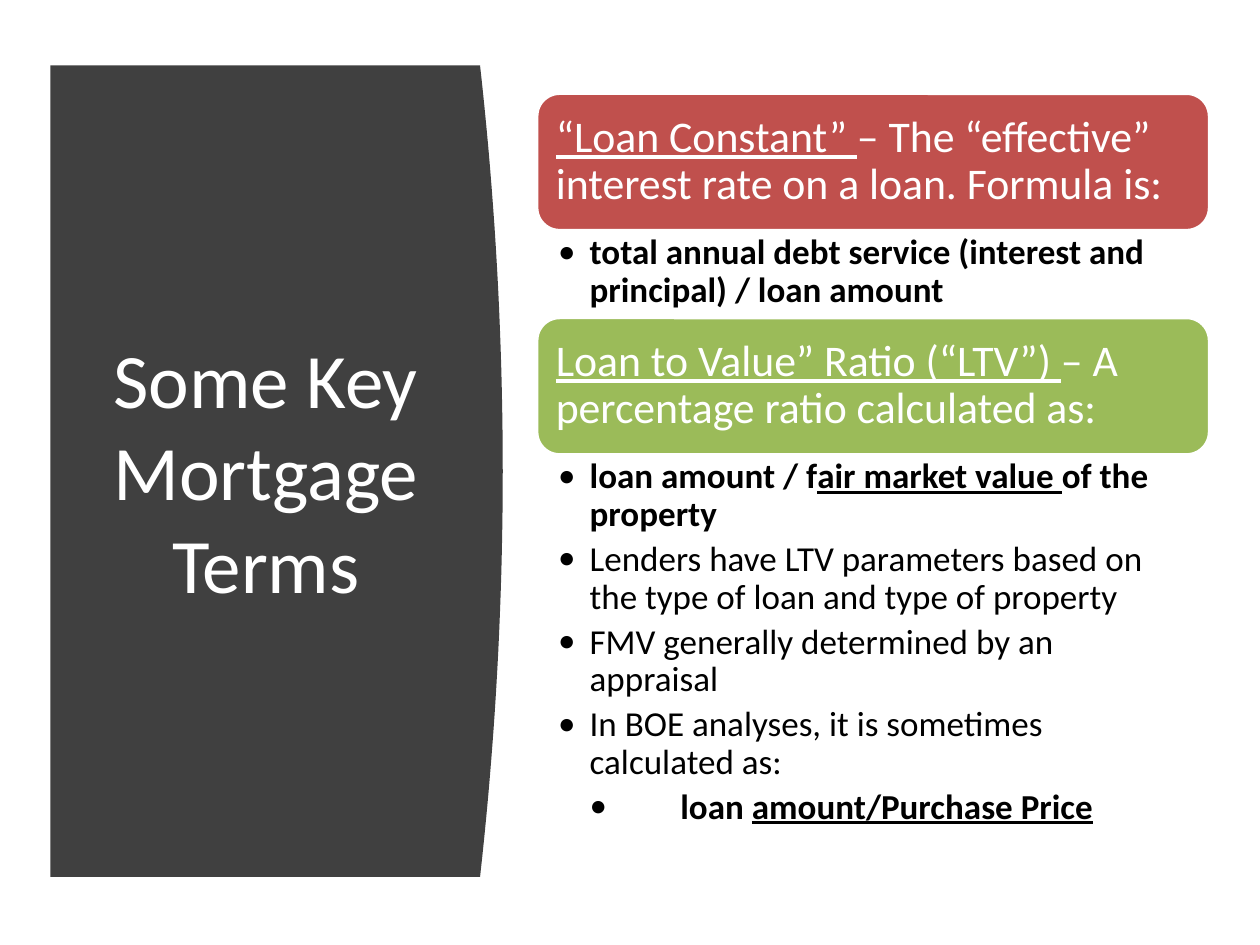
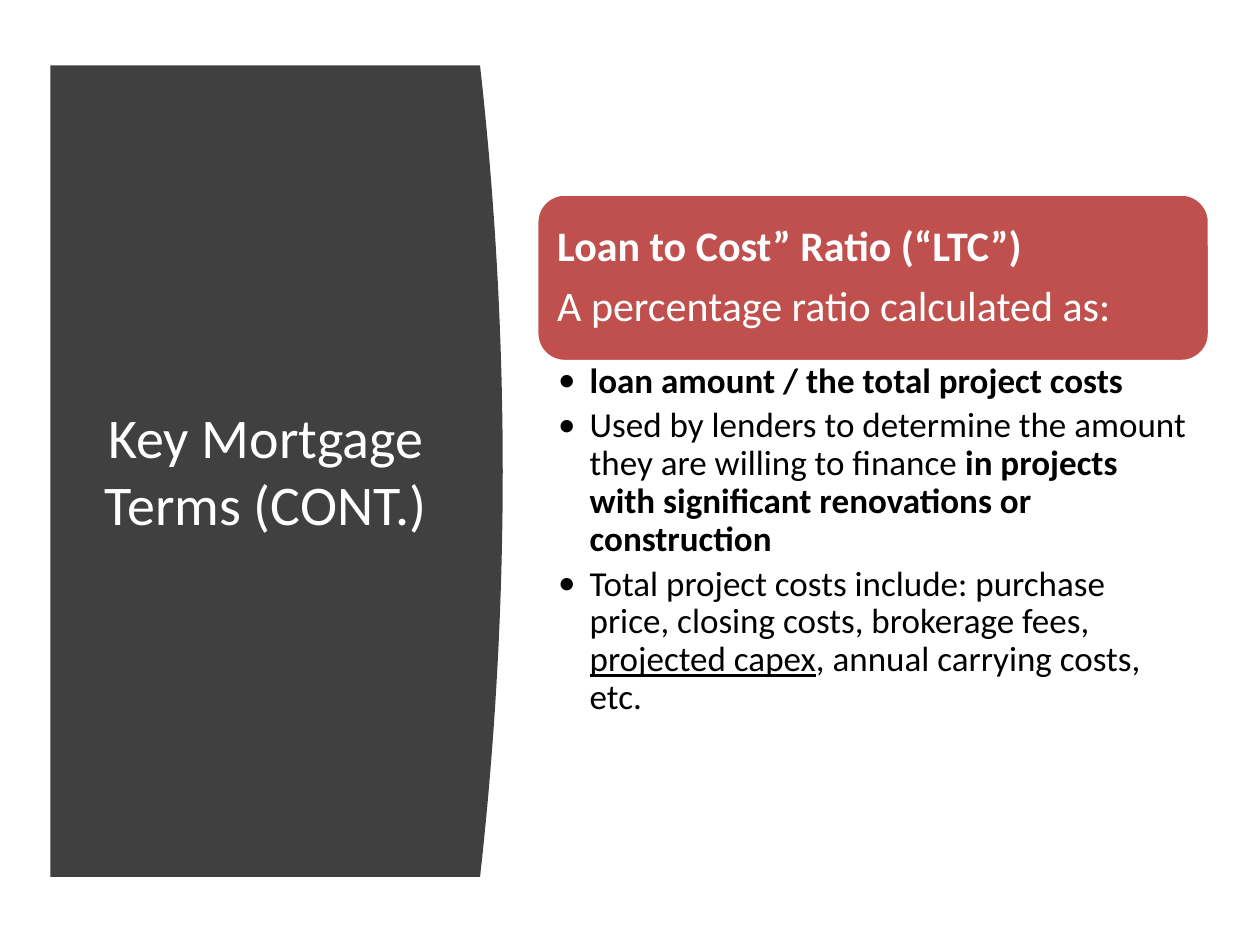
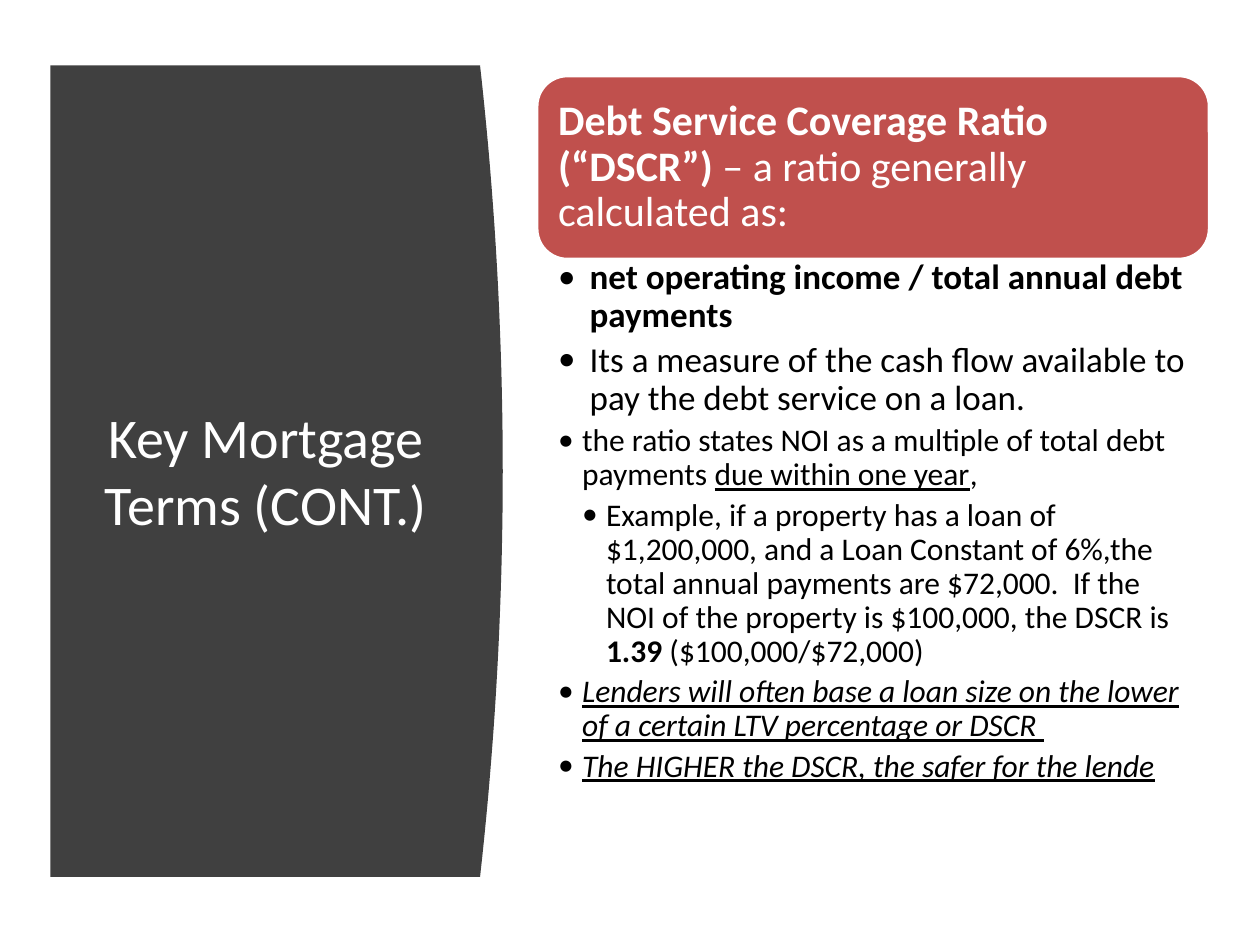
from dataclasses import dataclass

from lxml.etree import SubElement
from pptx import Presentation
from pptx.dml.color import RGBColor
from pptx.enum.shapes import MSO_SHAPE as Preset
from pptx.enum.text import MSO_ANCHOR as Anchor, MSO_AUTO_SIZE as AutoSize, PP_ALIGN as Align
from pptx.oxml.ns import qn
from pptx.util import Inches, Pt

# Shared look
WHITE = RGBColor(0xFF, 0xFF, 0xFF)
BLACK = RGBColor(0x00, 0x00, 0x00)
CHARCOAL = RGBColor(0x40, 0x40, 0x40)
RED = RGBColor(0xC0, 0x50, 0x4D)
GREEN = RGBColor(0x9B, 0xBB, 0x59)
FONT = "Calibri"

# Boxes: left, top, width, height in inches
PANEL = (0.4, 0.52, 3.59, 6.44)
PANEL_BULGE = 0.18
PANEL_STEPS = 40
TITLE = (0.71, 1.11, 2.8, 5.24)
COLUMN_LEFT, COLUMN_WIDTH = 4.26, 5.34

STYLES = {"b": "bold", "i": "italic", "u": "underline"}


@dataclass
class Item:
    """One bullet: its spans are (text, style letters)."""
    spans: list
    level: int = 1
    step: float = 0.25
    size: int = 20


@dataclass
class Section:
    """A coloured heading bar with its list below."""
    top: float
    bar_height: float
    list_top: float
    list_height: float
    heading: list
    items: list
    color: RGBColor = RED
    size: int = 24
    right_inset: float = 0.16


def set_all(target, values):
    for name, value in values.items():
        setattr(target, name, value)


def place(shape, box):
    names = ("left", "top", "width", "height")
    set_all(shape, {name: Inches(value) for name, value in zip(names, box)})


def set_frame(frame, insets, anchor):
    sides = ("margin_left", "margin_top", "margin_right", "margin_bottom")
    set_all(frame, {"word_wrap": True, "auto_size": AutoSize.NONE, "vertical_anchor": anchor})
    set_all(frame, {side: Inches(value) for side, value in zip(sides, insets)})


def add_spans(para, spans, size, color):
    for text, style in spans:
        span = para.add_run()
        span.text = text
        set_all(span.font, {"name": FONT, "size": Pt(size)})
        set_all(span.font, {name: letter in style for letter, name in STYLES.items()})
        span.font.color.rgb = color


def paragraphs(frame, count):
    """Yield the first paragraph, then new ones."""
    for index in range(count):
        yield frame.add_paragraph() if index else frame.paragraphs[0]


def add_bullet(para, item):
    props = para._p.get_or_add_pPr()
    props.set("marL", str(Inches(item.step * item.level)))
    props.set("indent", str(-Inches(item.step)))
    props.set("defTabSz", str(Inches(0.97)))
    SubElement(props, qn("a:buFont")).set("typeface", FONT)
    SubElement(props, qn("a:buChar")).set("char", "•")


def add_panel(page, box):
    """Dark panel whose right edge bows outwards, behind everything else."""
    left, top, width, height = box
    edge = []
    for step in range(PANEL_STEPS + 1):
        part = step / PANEL_STEPS
        bow = PANEL_BULGE * (2 * part - 1) ** 2
        edge.append((Inches(left + width - bow), Inches(top + height * part)))
    builder = page.shapes.build_freeform(Inches(left), Inches(top))
    builder.add_line_segments(edge + [(Inches(left), Inches(top + height))], close=True)
    panel = builder.convert_to_shape()
    panel.shadow.inherit = False
    panel.fill.solid()
    panel.fill.fore_color.rgb = CHARCOAL
    panel.line.fill.background()
    page.shapes._spTree.insert(2, panel._element)


def fill_title(page, box, text, size):
    title = page.shapes.title
    place(title, box)
    set_frame(title.text_frame, (0.1, 0.05, 0.1, 0.05), Anchor.MIDDLE)
    para = title.text_frame.paragraphs[0]
    para.alignment = Align.CENTER
    add_spans(para, [(text, "")], size, WHITE)


def add_bar(page, box, section):
    bar = page.shapes.add_shape(Preset.ROUNDED_RECTANGLE, *map(Inches, box))
    bar.shadow.inherit = False
    bar.fill.solid()
    bar.fill.fore_color.rgb = section.color
    bar.line.color.rgb = WHITE
    bar.line.width = Pt(2)
    frame = bar.text_frame
    set_frame(frame, (0.1,) * 4, Anchor.MIDDLE)
    for para, spans in zip(paragraphs(frame, len(section.heading)), section.heading):
        set_all(para, {"alignment": Align.LEFT, "line_spacing": 0.9,
                       "space_after": Pt(0.35 * section.size)})
        add_spans(para, spans, section.size, WHITE)


def fill_list(body, box, section):
    place(body, box)
    frame = body.text_frame
    set_frame(frame, (0.17, 0.03, section.right_inset, 0.03), Anchor.TOP)
    for para, item in zip(paragraphs(frame, len(section.items)), section.items):
        add_bullet(para, item)
        set_all(para, {"level": item.level, "alignment": Align.LEFT, "line_spacing": 0.9,
                       "space_before": Pt(0), "space_after": Pt(0.2 * item.size)})
        add_spans(para, item.spans, item.size, BLACK)


def add_terms_page(deck, title, title_size, sections):
    # "Title and Content" for one section, "Two Content" for two
    layout = deck.slide_layouts[1 if len(sections) == 1 else 3]
    page = deck.slides.add_slide(layout)
    add_panel(page, PANEL)
    fill_title(page, TITLE, title, title_size)
    for number, section in enumerate(sections, start=1):
        add_bar(page, (COLUMN_LEFT, section.top, COLUMN_WIDTH, section.bar_height), section)
        fill_list(page.placeholders[number],
                  (COLUMN_LEFT, section.list_top, COLUMN_WIDTH, section.list_height), section)


# Content
LOAN_CONSTANT = Section(
    0.74, 1.09, 1.83, 0.69, size=25, right_inset=0.19,
    heading=[[("“Loan Constant” ", "u"),
              ("– The “effective” interest rate on a loan. Formula is:", "")]],
    items=[Item([("total annual debt service (interest and principal) / loan amount", "b")])])

LOAN_TO_VALUE = Section(
    2.52, 1.09, 3.61, 3.11, color=GREEN, size=25, right_inset=0.19,
    heading=[[("Loan to Value” Ratio (“LTV”) ", "u"),
              ("– A percentage ratio calculated as:", "")]],
    items=[
        Item([("loan amount / f", "b"), ("air market value ", "bu"), ("of the property", "b")]),
        Item([("Lenders have LTV parameters based on the type of loan and type of property", "")]),
        Item([("FMV generally determined by an appraisal", "")]),
        Item([("In BOE analyses, it is sometimes calculated as:", "")]),
        Item([("\tloan ", "b"), ("amount/Purchase Price", "bu")], level=2)])

LOAN_TO_COST = Section(
    1.54, 1.33, 2.85, 3.09,
    heading=[[("Loan to Cost” Ratio (“LTC”)", "b")],
             [("A percentage ratio calculated as:", "")]],
    items=[
        Item([("loan amount / the total project costs", "b")]),
        Item([("Used by lenders to determine the amount they are willing to finance ", ""),
              ("in projects with significant renovations or construction", "b")]),
        Item([("Total project costs include: purchase price, closing costs, brokerage fees, ", ""),
              ("projected capex", "u"), (", annual carrying costs, etc.", "")])])

DEBT_COVERAGE = Section(
    0.6, 1.46, 2.03, 4.86,
    heading=[[("Debt Service Coverage Ratio (“DSCR”) ", "b"),
              ("– a ratio generally calculated as:", "")]],
    items=[
        Item([("net operating income / total annual debt payments", "b")]),
        Item([("Its a measure of the cash flow available to pay the debt service on a loan.", "")]),
        Item([("the ratio states NOI as a multiple of total debt payments ", ""),
              ("due within one year", "u"), (",", "")], step=0.19, size=18),
        Item([("Example, if a property has a loan of $1,200,000, and a Loan Constant of 6%,the "
               "total annual payments are $72,000.  If the NOI of the property is $100,000, "
               "the DSCR is ", ""),
              ("1.39 ", "b"), ("($100,000/$72,000)", "")], level=2, step=0.19, size=18),
        Item([("Lenders will often base a loan size on the lower of a certain LTV percentage "
               "or DSCR ", "iu")], step=0.19, size=18),
        Item([("The HIGHER the DSCR, the safer for the lende", "iu")], step=0.19, size=18)])


def main():
    deck = Presentation()
    deck.slide_width, deck.slide_height = Inches(10), Inches(7.5)
    add_terms_page(deck, "Some Key Mortgage Terms", 44, [LOAN_CONSTANT, LOAN_TO_VALUE])
    for section in (LOAN_TO_COST, DEBT_COVERAGE):
        add_terms_page(deck, "Key Mortgage Terms (CONT.)", 32, [section])
    deck.save("out.pptx")


if __name__ == "__main__":
    main()
